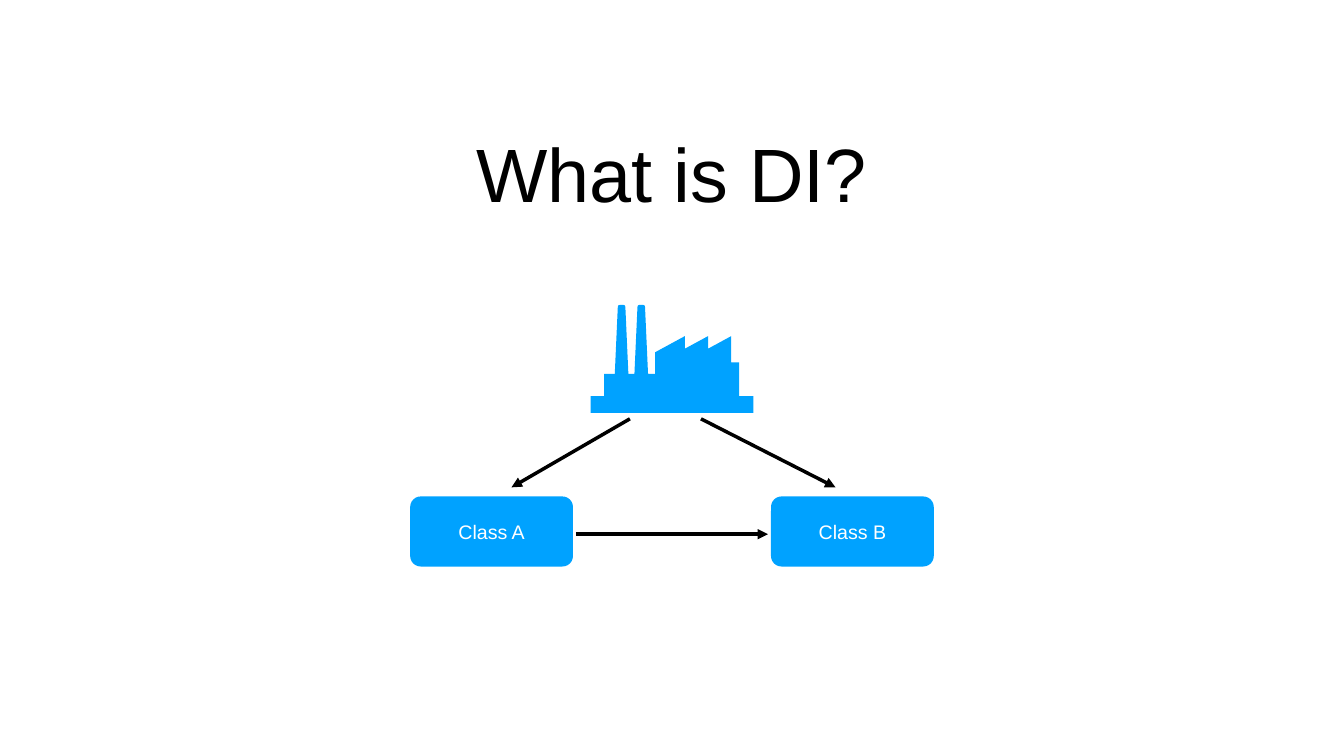
from dataclasses import dataclass

from lxml.etree import SubElement
from pptx import Presentation
from pptx.dml.color import RGBColor
from pptx.enum.shapes import MSO_CONNECTOR, MSO_SHAPE
from pptx.enum.text import MSO_ANCHOR, MSO_AUTO_SIZE, PP_ALIGN
from pptx.oxml.ns import qn
from pptx.util import Emu, Pt


@dataclass(frozen=True)
class Theme:
    font: str = "Arial"
    accent: RGBColor = RGBColor(0x00, 0xA2, 0xFF)
    ink: RGBColor = RGBColor(0x00, 0x00, 0x00)
    paper: RGBColor = RGBColor(0xFF, 0xFF, 0xFF)
    title_size: int = 108
    label_size: int = 28
    line_width: int = 5


THEME = Theme()
PX = 9144  # EMU per px, 100 px to the inch
SLIDE_SIZE = (2667, 1500)
INSET = 6

TITLE = "What is DI?"
TITLE_BOX = (693, 217, 1280, 249)

CLASSES = [("Class A", 814), ("Class B", 1530)]
CLASS_TOP, CLASS_WIDTH, CLASS_HEIGHT = 985, 323, 139

ARROWS = [
    ((1250, 831), (1015, 967)),
    ((1391, 831), (1658, 967)),
    ((1143, 1060), (1524, 1060)),
]

CHIMNEY_LEFTS = (1220, 1259)
CHIMNEY = [(0, 742), (6, 609), (7, 606), (10, 605),
           (17, 605), (20, 606), (21, 609), (27, 742)]
ROOF_PEAKS = (1359, 1405, 1451)
ROOF_TOP, ROOF_VALLEY = 667, 692
LEFT_WALL = [(1172, 819), (1172, 786), (1199, 786), (1199, 742)]
ROOF_START = [(1300, 742), (1300, 699)]
RIGHT_WALL = [(1451, 719), (1467, 719), (1467, 786), (1495, 786), (1495, 819)]


def px(*lengths):
    return [Emu(length * PX) for length in lengths]


def write(shape, text, size, color):
    frame = shape.text_frame
    frame.word_wrap = True
    frame.auto_size = MSO_AUTO_SIZE.NONE
    frame.vertical_anchor = MSO_ANCHOR.MIDDLE
    frame.margin_left, frame.margin_top, frame.margin_right, frame.margin_bottom = px(*[INSET] * 4)
    paragraph = frame.paragraphs[0]
    paragraph.alignment = PP_ALIGN.CENTER
    run = paragraph.add_run()
    run.text = text
    run.font.name = THEME.font
    run.font.size = Pt(size)
    run.font.color.rgb = color


def paint(shape):
    shape.shadow.inherit = False
    shape.fill.solid()
    shape.fill.fore_color.rgb = THEME.accent
    shape.line.fill.background()


def add_title(slide):
    title = slide.shapes.title
    title.left, title.top, title.width, title.height = px(*TITLE_BOX)
    write(title, TITLE, THEME.title_size, THEME.ink)


def add_factory(slide):
    outline = list(LEFT_WALL)
    for left in CHIMNEY_LEFTS:
        outline += [(left + x, y) for x, y in CHIMNEY]
    outline += ROOF_START
    for peak in ROOF_PEAKS:
        outline += [(peak, ROOF_TOP), (peak, ROOF_VALLEY)]
    outline[-1:] = RIGHT_WALL
    builder = slide.shapes.build_freeform(*outline[0], scale=PX)
    builder.add_line_segments(outline[1:], close=True)
    paint(builder.convert_to_shape())


def add_class(slide, name, left):
    box = slide.shapes.add_shape(
        MSO_SHAPE.ROUNDED_RECTANGLE, *px(left, CLASS_TOP, CLASS_WIDTH, CLASS_HEIGHT))
    box.adjustments[0] = 0.15
    paint(box)
    write(box, name, THEME.label_size, THEME.paper)


def add_arrow(slide, start, end):
    arrow = slide.shapes.add_connector(MSO_CONNECTOR.STRAIGHT, *px(*start, *end))
    arrow.line.color.rgb = THEME.ink
    arrow.line.width = Pt(THEME.line_width)
    SubElement(arrow.line._get_or_add_ln(), qn("a:tailEnd"), type="triangle")
    SubElement(arrow._element.spPr, qn("a:effectLst"))


def main():
    presentation = Presentation()
    presentation.slide_width, presentation.slide_height = px(*SLIDE_SIZE)
    slide = presentation.slides.add_slide(presentation.slide_layouts[5])
    slide.background.fill.solid()
    slide.background.fill.fore_color.rgb = THEME.paper
    add_title(slide)
    add_factory(slide)
    for name, left in CLASSES:
        add_class(slide, name, left)
    for start, end in ARROWS:
        add_arrow(slide, start, end)
    presentation.save("out.pptx")


if __name__ == "__main__":
    main()
